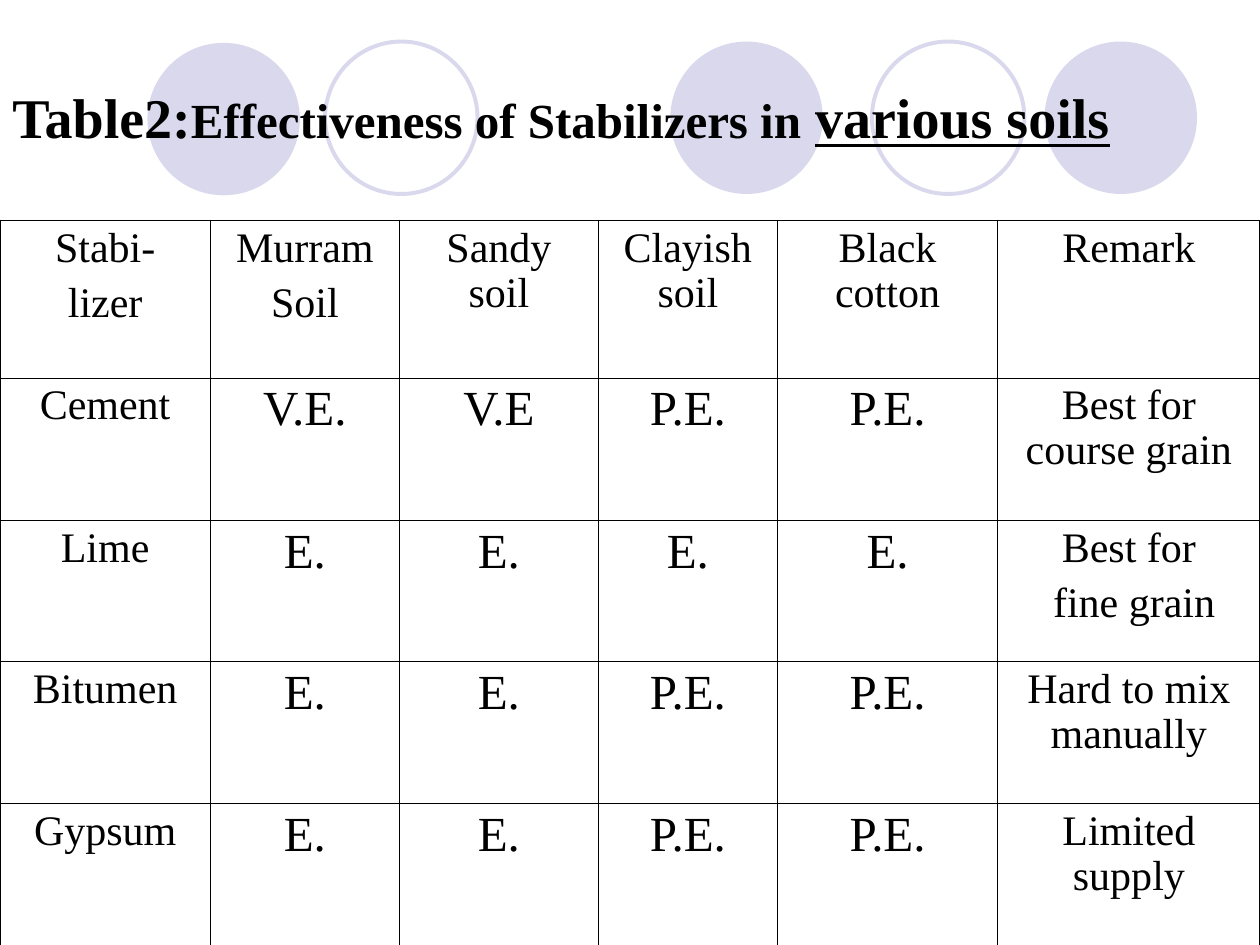
from dataclasses import dataclass

from lxml import etree
from pptx import Presentation, util as u
from pptx.dml.color import RGBColor
from pptx.enum import shapes, text
from pptx.oxml.ns import qn


@dataclass(frozen=True)
class Theme:
    font: str = "Times New Roman"
    ink: str = "000000"
    lilac: str = "D9D8EC"
    title: int = 32
    subtitle: int = 28
    label: int = 24
    grade: int = 28
    ring: float = 2.25
    outer_border: float = 1.08
    inner_border: float = 0.45


THEME = Theme()

CIRCLE_SIZE = 1.21
DISCS = [(5.32, 0.33), (8.29, 0.33), (1.17, 0.34)]
RINGS = [(6.92, 0.33), (2.58, 0.33)]

COLUMNS = [1.67, 1.5, 1.58, 1.42, 1.75, 2.08]
ROWS = [1.25, 1.13, 1.12, 1.13, 1.13]
CONTENT = [
    ["Stabi-\nlizer", "Murram\nSoil", "Sandy soil", "Clayish soil",
     "Black cotton", "Remark"],
    ["Cement", "V.E.", "V.E", "P.E.", "P.E.", "Best for course grain"],
    ["Lime", "E.", "E.", "E.", "E.", "Best for\n fine grain"],
    ["Bitumen", "E.", "E.", "P.E.", "P.E.", "Hard to mix manually"],
    ["Gypsum", "E.", "E.", "P.E.", "P.E.", "Limited supply"],
]


def add_span(para, words, size, bold=False, underline=False):
    span = para.add_run()
    span.text = words
    font = span.font
    font.name = THEME.font
    font.size = u.Pt(size)
    font.bold = bold
    font.underline = underline
    font.color.rgb = RGBColor.from_string(THEME.ink)


def add_circle(page, left, top, filled):
    circle = page.shapes.add_shape(
        shapes.MSO_SHAPE.OVAL, u.Inches(left), u.Inches(top),
        u.Inches(CIRCLE_SIZE), u.Inches(CIRCLE_SIZE))
    circle.shadow.inherit = False
    lilac = RGBColor.from_string(THEME.lilac)
    if filled:
        circle.fill.solid()
        circle.fill.fore_color.rgb = lilac
        circle.line.fill.background()
    else:
        circle.fill.background()
        circle.line.color.rgb = lilac
        circle.line.width = u.Pt(THEME.ring)


def add_title(page):
    box = page.shapes.add_textbox(
        u.Inches(0), u.Inches(0.3), u.Inches(10), u.Inches(1.25))
    frame = box.text_frame
    frame.word_wrap = True
    frame.vertical_anchor = text.MSO_ANCHOR.MIDDLE
    para = frame.paragraphs[0]
    add_span(para, "Table2:", THEME.title, bold=True)
    add_span(para, "Effectiveness of Stabilizers in", THEME.subtitle, bold=True)
    add_span(para, " ", THEME.title, bold=True)
    add_span(para, "various soils", THEME.title, bold=True, underline=True)


def set_borders(cell, row, column):
    """Draw the cell's four sides, heavier along the table's outer edge."""
    outer_sides = {
        "lnL": column == 0,
        "lnR": column == len(COLUMNS) - 1,
        "lnT": row == 0,
        "lnB": row == len(ROWS) - 1,
    }
    properties = cell._tc.get_or_add_tcPr()
    for position, (side, outer) in enumerate(outer_sides.items()):
        width = THEME.outer_border if outer else THEME.inner_border
        line = etree.Element(qn(f"a:{side}"), w=str(int(u.Pt(width))))
        fill = etree.SubElement(line, qn("a:solidFill"))
        etree.SubElement(fill, qn("a:srgbClr"), val=THEME.ink)
        properties.insert(position, line)


def fill_cell(cell, words, size, space_before):
    cell.fill.background()
    frame = cell.text_frame
    for index, words_line in enumerate(words.split("\n")):
        para = frame.add_paragraph() if index else frame.paragraphs[0]
        para.alignment = text.PP_ALIGN.CENTER
        para.line_spacing = 0.96
        para.space_before = u.Pt(space_before if index else 0)
        add_span(para, words_line, size)


def add_stabilizer_table(page):
    table = page.shapes.add_table(
        len(ROWS), len(COLUMNS), u.Inches(0), u.Inches(1.75),
        u.Inches(sum(COLUMNS)), u.Inches(sum(ROWS))).table
    table.first_row = False
    table.horz_banding = False
    for column, width in zip(table.columns, COLUMNS):
        column.width = u.Inches(width)
    for row, height in zip(table.rows, ROWS):
        row.height = u.Inches(height)
    for r, entries in enumerate(CONTENT):
        for c, words in enumerate(entries):
            is_grade = r > 0 and 0 < c < len(COLUMNS) - 1
            cell = table.cell(r, c)
            fill_cell(cell, words,
                      size=THEME.grade if is_grade else THEME.label,
                      space_before=6)
            set_borders(cell, r, c)


def main():
    deck = Presentation()
    deck.slide_width = u.Inches(10)
    deck.slide_height = u.Inches(7.5)
    page = deck.slides.add_slide(deck.slide_layouts[6])
    for left, top in DISCS:
        add_circle(page, left, top, filled=True)
    for left, top in RINGS:
        add_circle(page, left, top, filled=False)
    add_title(page)
    add_stabilizer_table(page)
    deck.save("out.pptx")


if __name__ == "__main__":
    main()
